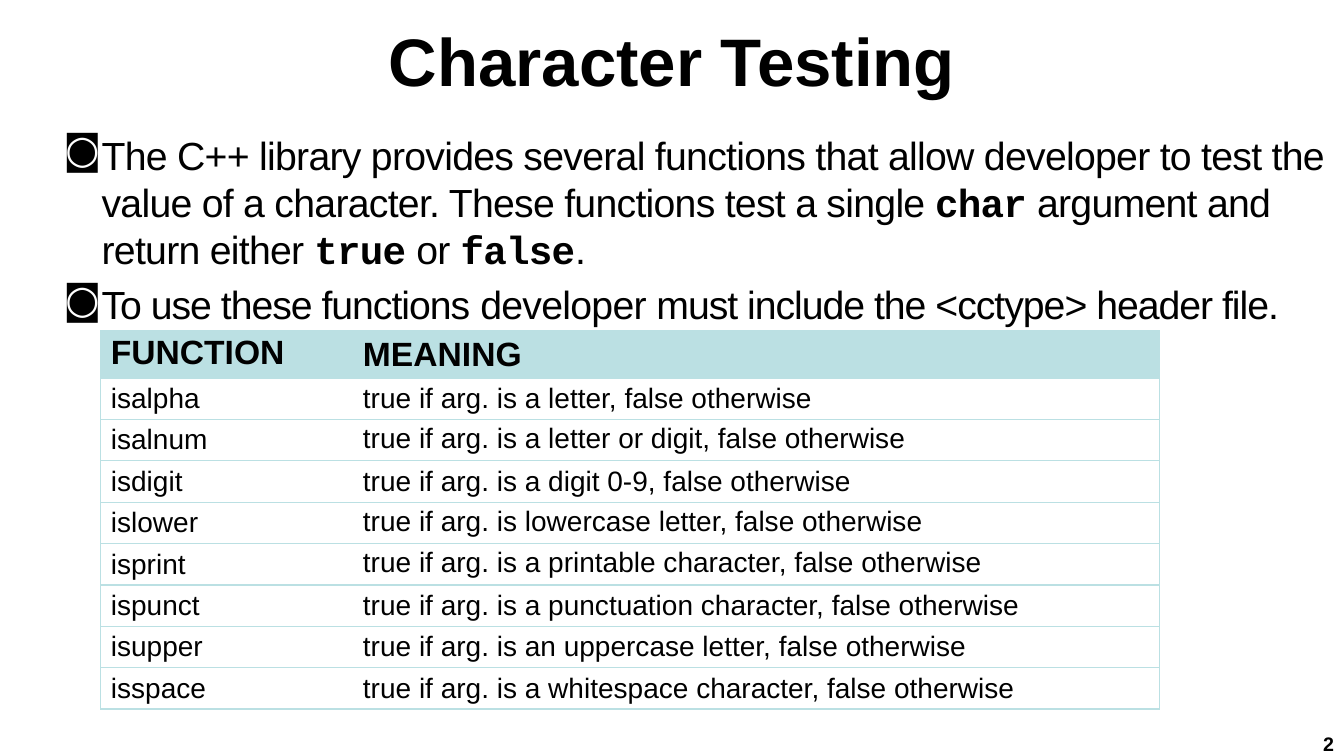
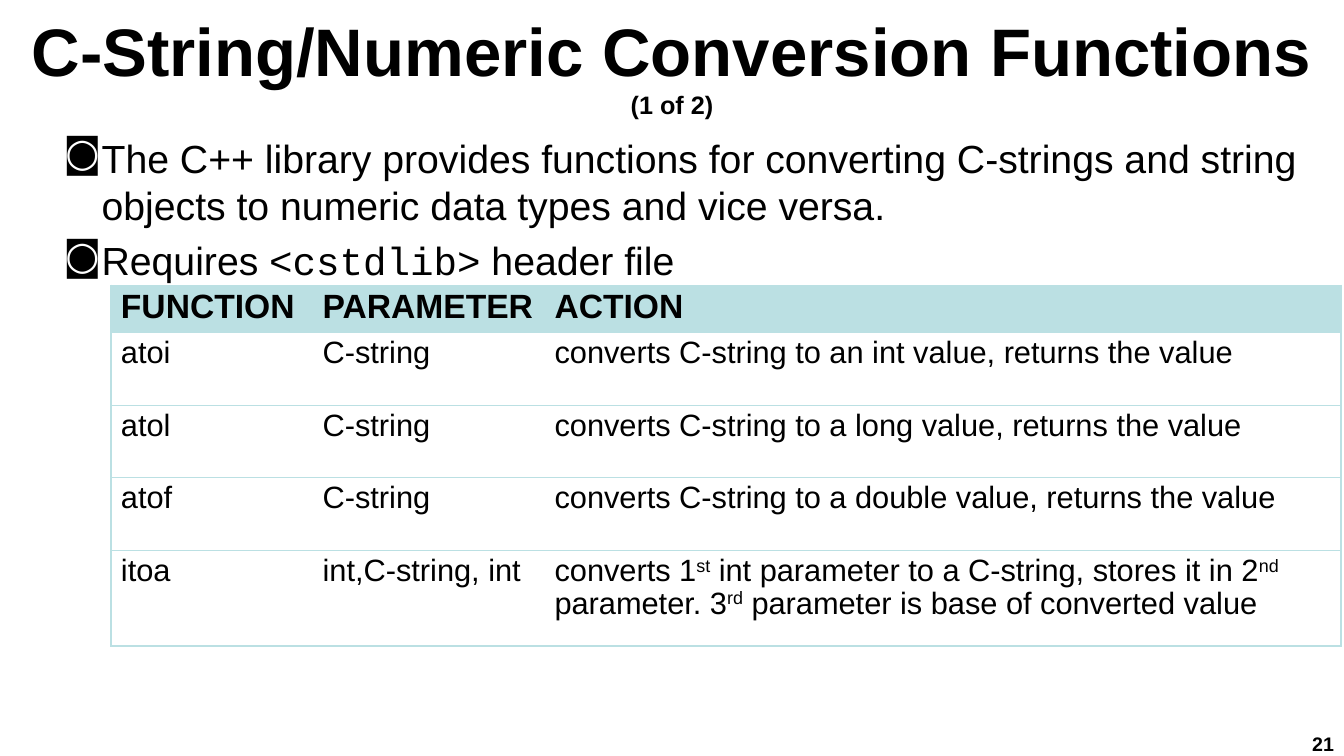
from lxml import etree
from pptx import Presentation
from pptx.dml.color import RGBColor
from pptx.enum.text import MSO_ANCHOR, MSO_AUTO_SIZE, PP_ALIGN
from pptx.oxml.ns import qn
from pptx.util import Emu, Pt

MIDDLE, TOP = MSO_ANCHOR.MIDDLE, MSO_ANCHOR.TOP
LEFT, CENTER, RIGHT = PP_ALIGN.LEFT, PP_ALIGN.CENTER, PP_ALIGN.RIGHT
NO_AUTOFIT = MSO_AUTO_SIZE.NONE

BLACK = RGBColor(0x00, 0x00, 0x00)
WHITE = RGBColor(0xFF, 0xFF, 0xFF)
PALE_TEAL = RGBColor(0xBB, 0xE0, 0xE3)

PX = 9144  # 100 px to the inch
SLIDE_WIDTH, SLIDE_HEIGHT = 1333, 750
TITLE_ONLY = 5
BULLET, BULLET_INDENT = "◙", 38
TIGHT = 0.95

# Text styles; a run adds its own changes to the base of its text
TITLE = {"name": "Arial", "size": Pt(48), "bold": True}
SUBTITLE = {"size": Pt(18)}
BODY = {"name": "Arial", "size": Pt(28), "bold": False}
CODE = {"name": "Courier New"}
BOLD_CODE = {"name": "Courier New", "bold": True}
CLOSE = {"spacing": -50}
CLOSER = {"spacing": -70}
HEADER = {"name": "Arial", "size": Pt(24), "bold": True}
CELL = {"name": "Arial", "bold": False}
SUPER = {"baseline": 30000}
PAGE_NUMBER = {"name": "Arial", "size": Pt(14), "bold": True}

# Content: text is a string or a list of (text, style) runs
SLIDES = [
    {
        "title": "Character Testing",
        "title_height": 110,
        "number": "2",
        "body_top": 125,
        "bullets": [
            [("The C++ library provides several functions that allow developer to test "
              "the value of a character. These functions test a single ", CLOSE),
             ("char", BOLD_CODE | CLOSE), (" argument and return either ", CLOSE),
             ("true", BOLD_CODE | CLOSE), (" or ", CLOSE),
             ("false", BOLD_CODE | CLOSE), (".", CLOSE)],
            [("To use these functions ", CLOSER), ("developer", CLOSE),
             (" must include the <cctype> header file.", CLOSER)],
        ],
        "table": {
            "left": 100, "top": 328, "cell_size": 20,
            "columns": [250, 800],
            "heights": [47] + [41] * 8,
            "tight_cells": {(0, 0), (2, 1), (4, 1), (5, 1)},
            "rows": [
                ("FUNCTION", "MEANING"),
                ("isalpha", "true if arg. is a letter, false otherwise"),
                ("isalnum", "true if arg. is a letter or digit, false otherwise"),
                ("isdigit", "true if arg. is a digit 0-9, false otherwise"),
                ("islower", "true if arg. is lowercase letter, false otherwise"),
                ("isprint", "true if arg. is a printable character, false otherwise"),
                ("ispunct", "true if arg. is a punctuation character, false otherwise"),
                ("isupper", "true if arg. is an uppercase letter, false otherwise"),
                ("isspace", "true if arg. is a whitespace character, false otherwise"),
            ],
        },
    },
    {
        "title": [("C-String/Numeric Conversion Functions", {}), ("\n", {}),
                  ("(1 of 2)", SUBTITLE)],
        "title_height": 120,
        "number": "21",
        "body_top": 128,
        "bullets": [
            "The C++ library provides functions for converting C-strings and string "
            "objects to numeric data types and vice versa.",
            [("Requires ", {}), ("<cstdlib>", CODE), (" header file", {})],
        ],
        "table": {
            "left": 110, "top": 283, "cell_size": 22,
            "columns": [200, 230, 790],
            "heights": [47, 72, 72, 72, 95],
            "tight_cells": {(row, column) for row in range(5) for column in range(3)},
            "rows": [
                ("FUNCTION", "PARAMETER", "ACTION"),
                ("atoi", "C-string", "converts C-string to an int value, returns the value"),
                ("atol", "C-string", "converts C-string to a long value, returns the value"),
                ("atof", "C-string", "converts C-string to a double value, returns the value"),
                ("itoa", "int,C-string, int", [
                    ("converts 1", {}), ("st", SUPER),
                    (" int parameter to a C-string, stores it in 2", {}), ("nd", SUPER),
                    (" parameter. 3", {}), ("rd", SUPER),
                    (" parameter is base of converted value", {})]),
            ],
        },
    },
]


def px(length):
    return Emu(length * PX)


def place(shape, left, top, width, height):
    box = {"left": left, "top": top, "width": width, "height": height}
    for side, length in box.items():
        setattr(shape, side, px(length))


def write(paragraph, content, base, **layout):
    for attribute, value in layout.items():
        setattr(paragraph, attribute, value)
    runs = [(content, {})] if isinstance(content, str) else content
    for text, changes in runs:
        if text == "\n":
            paragraph.add_line_break()
            continue
        run = paragraph.add_run()
        run.text = text
        run.font.color.rgb = BLACK
        for attribute, value in (base | changes).items():
            if attribute == "spacing":
                run.font._element.set("spc", str(value))
            elif attribute == "baseline":
                run.font._element.set("baseline", str(value))
            else:
                setattr(run.font, attribute, value)


def set_frame(frame, **format_values):
    values = {"word_wrap": True, "auto_size": NO_AUTOFIT} | format_values
    for attribute, value in values.items():
        setattr(frame, attribute, value)


def add_bullet(paragraph):
    properties = paragraph._p.get_or_add_pPr()
    properties.set("marL", str(px(BULLET_INDENT)))
    properties.set("indent", str(-px(BULLET_INDENT)))
    color = etree.SubElement(properties, qn("a:buClr"))
    etree.SubElement(color, qn("a:srgbClr"), val=str(BLACK))
    etree.SubElement(properties, qn("a:buChar"), char=BULLET)


def set_borders(cell, first, last):
    # Rules above and below every cell, sides only at the table's edges
    properties = cell._tc.get_or_add_tcPr()
    shown = {"lnL": first, "lnR": last, "lnT": True, "lnB": True}
    for side, visible in shown.items():
        line = etree.SubElement(properties, qn(f"a:{side}"), w=str(Pt(1)))
        if visible:
            fill = etree.SubElement(line, qn("a:solidFill"))
            etree.SubElement(fill, qn("a:srgbClr"), val=str(PALE_TEAL))
        else:
            etree.SubElement(line, qn("a:noFill"))


def add_title(slide, content, height):
    title = slide.shapes.title
    place(title, 0, 0, SLIDE_WIDTH, height)
    set_frame(title.text_frame, vertical_anchor=MIDDLE, margin_top=px(13))
    write(title.text_frame.paragraphs[0], content, TITLE, alignment=CENTER)


def add_text_box(slide, left, top, width, height, anchor):
    box = slide.shapes.add_textbox(px(left), px(top), px(width), px(height))
    set_frame(box.text_frame, vertical_anchor=anchor)
    return box.text_frame


def add_bullets(slide, bullets, top):
    frame = add_text_box(slide, 53, top, 1280, 600, TOP)
    for index, content in enumerate(bullets):
        paragraph = frame.add_paragraph() if index else frame.paragraphs[0]
        write(paragraph, content, BODY, alignment=LEFT, space_before=Pt(6))
        add_bullet(paragraph)


def add_function_table(slide, data):
    columns, heights, rows = data["columns"], data["heights"], data["rows"]
    table = slide.shapes.add_table(
        len(rows), len(columns), px(data["left"]), px(data["top"]),
        px(sum(columns)), px(sum(heights))).table
    table.first_row = table.horz_banding = False
    for column, width in zip(table.columns, columns):
        column.width = px(width)
    for row, height in zip(table.rows, heights):
        row.height = px(height)
    cell_style = CELL | {"size": Pt(data["cell_size"])}
    for row_index, row in enumerate(rows):
        for column_index, content in enumerate(row):
            cell = table.cell(row_index, column_index)
            set_borders(cell, column_index == 0, column_index == len(columns) - 1)
            cell.fill.solid()
            cell.fill.fore_color.rgb = WHITE if row_index else PALE_TEAL
            tight = (row_index, column_index) in data["tight_cells"]
            write(cell.text_frame.paragraphs[0], content,
                  cell_style if row_index else HEADER,
                  line_spacing=TIGHT if tight else 1.0)


def add_page_number(slide, number):
    frame = add_text_box(slide, 1273, 725, 60, 25, MIDDLE)
    write(frame.paragraphs[0], number, PAGE_NUMBER, alignment=RIGHT)


def main():
    presentation = Presentation()
    presentation.slide_width = px(SLIDE_WIDTH)
    presentation.slide_height = px(SLIDE_HEIGHT)
    for content in SLIDES:
        slide = presentation.slides.add_slide(presentation.slide_layouts[TITLE_ONLY])
        add_title(slide, content["title"], content["title_height"])
        add_bullets(slide, content["bullets"], content["body_top"])
        add_function_table(slide, content["table"])
        add_page_number(slide, content["number"])
    presentation.save("out.pptx")


if __name__ == "__main__":
    main()
